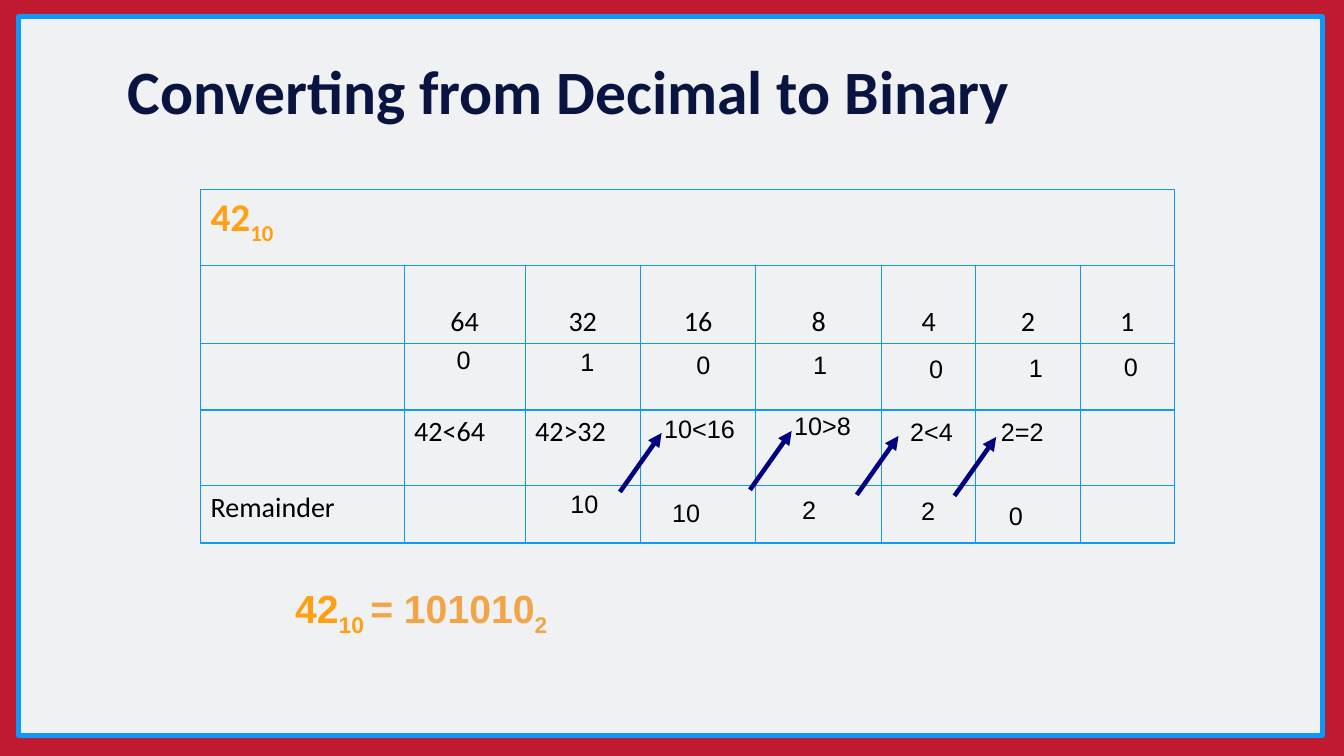
"""Build the slide that converts decimal 42 to binary step by step."""
import dataclasses

import lxml.etree
import pptx
import pptx.dml.color
import pptx.enum.shapes
import pptx.enum.text
import pptx.oxml
import pptx.oxml.ns
import pptx.util

Pt = pptx.util.Pt
Align = pptx.enum.text.PP_ALIGN
qn = pptx.oxml.ns.qn


@dataclasses.dataclass(frozen=True)
class Theme:
    red: str = "BF1A2F"
    panel: str = "EFF1F3"
    blue: str = "1098F7"
    navy: str = "091540"
    arrow: str = "000080"
    orange: str = "FF9F11"
    amber: str = "F3A447"
    black: str = "000000"
    heading_font: str = "Calibri"
    note_font: str = "Arial"
    title_size: int = 44
    number_size: int = 28
    cell_size: int = 20
    note_size: int = 18


THEME = Theme()

COLUMNS = (145.4, 86.4, 82.4, 82.4, 90, 67, 74.9, 67)
ROWS = (54, 54, 47.3, 54, 41)
PLACE_VALUES = ("64", "32", "16", "8", "4", "2", "1")
BITS = (("0", 319, 242.6), ("1", 407.5, 244.1), ("0", 490.3, 246.2), ("1", 573.8, 246.2),
        ("0", 656.6, 249.1), ("1", 727.9, 248.4), ("0", 795.6, 247.7))
COMPARISONS = (("10<16", 467.3, 291.6), ("10>8", 560.2, 289.4),
               ("2<4", 643, 293.8), ("2=2", 707.8, 293.8))
REMAINDERS = (("10", 400.3, 345.6), ("10", 473, 351.4), ("2", 565.9, 349.9),
              ("2", 650.9, 350.6), ("0", 713.5, 353.5))
ARROW_STARTS = ((442.8, 351.4), (535.7, 349.9), (612, 353.5), (681.8, 354.2))
ARROW_RUN, ARROW_RISE = 29.8, 42.1


def rgb(value):
    """Turn a hex string into a colour."""
    return pptx.dml.color.RGBColor.from_string(value)


def style_span(span, font, size, color, bold=False, subscript=False):
    """Format one run of text."""
    span.font.name = font
    span.font.size = Pt(size)
    span.font.color.rgb = rgb(color)
    span.font.bold = bold
    if subscript:
        span._r.get_or_add_rPr().set("baseline", "-25000")


def fill_number(para, font, parts):
    """Write bold number parts given as text, colour and subscript flag."""
    for text, color, subscript in parts:
        span = para.add_run()
        span.text = text
        style_span(span, font, THEME.number_size, color, True, subscript)


def add_box(page, left, top, width, height):
    """Add an empty wrapping text box and return its text frame."""
    frame = page.shapes.add_textbox(Pt(left), Pt(top), Pt(width), Pt(height)).text_frame
    frame.word_wrap = True
    return frame


def add_note(page, text, left, top, width):
    """Add a small working figure over the table."""
    frame = add_box(page, left, top, width, 28.8)
    frame.text = text
    style_span(frame.paragraphs[0].runs[0], THEME.note_font, THEME.note_size, THEME.black)


def add_panel(page):
    """Add the framed panel behind the content."""
    panel = page.shapes.add_shape(pptx.enum.shapes.MSO_SHAPE.RECTANGLE,
                                  Pt(13.4), Pt(11.6), Pt(931), Pt(514))
    panel.shadow.inherit = False
    panel.fill.solid()
    panel.fill.fore_color.rgb = rgb(THEME.panel)
    panel.line.color.rgb = rgb(THEME.blue)
    panel.line.width = Pt(3.5)


def add_title(page, text):
    """Add the slide heading."""
    frame = add_box(page, 84.2, 22.3, 832, 90)
    frame.vertical_anchor = pptx.enum.text.MSO_ANCHOR.MIDDLE
    frame.text = text
    para = frame.paragraphs[0]
    para.line_spacing = 0.9
    style_span(para.runs[0], THEME.heading_font, THEME.title_size, THEME.navy, True)


def outline_cell(cell):
    """Give a cell thin blue borders and no fill."""
    properties = cell._tc.get_or_add_tcPr()
    for side in ("a:lnL", "a:lnR", "a:lnT", "a:lnB"):
        border = lxml.etree.SubElement(properties, qn(side), w=str(Pt(1)))
        solid = lxml.etree.SubElement(border, qn("a:solidFill"))
        lxml.etree.SubElement(solid, qn("a:srgbClr"), val=THEME.blue)
    cell.fill.background()


def write_cell(cell, text, align=Align.LEFT, spacing=1.0):
    """Write plain text in a table cell."""
    cell.text = text
    para = cell.text_frame.paragraphs[0]
    para.alignment = align
    para.line_spacing = spacing
    style_span(para.runs[0], THEME.heading_font, THEME.cell_size, THEME.black)


def add_working_table(page):
    """Add the table of place values, comparisons and remainders."""
    table = page.shapes.add_table(len(ROWS), len(COLUMNS), Pt(143.3), Pt(135.4),
                                  Pt(sum(COLUMNS)), Pt(sum(ROWS))).table
    table.first_row = table.horz_banding = False
    for column, width in zip(table.columns, COLUMNS):
        column.width = Pt(width)
    for row, height in zip(table.rows, ROWS):
        row.height = Pt(height)
    for cell in table.iter_cells():
        outline_cell(cell)
    heading = table.cell(0, 0)
    heading.merge(table.cell(0, len(COLUMNS) - 1))
    fill_number(heading.text_frame.paragraphs[0], THEME.heading_font,
                (("42", THEME.orange, False), ("10", THEME.orange, True)))
    for index, value in enumerate(PLACE_VALUES, start=1):
        write_cell(table.cell(1, index), value, Align.CENTER, 2.0)
    write_cell(table.cell(3, 1), "42<64")
    write_cell(table.cell(3, 2), "42>32")
    write_cell(table.cell(4, 0), "Remainder")


def add_arrow(page, left, bottom):
    """Add an arrow from a remainder up to the next comparison."""
    arrow = page.shapes.add_connector(pptx.enum.shapes.MSO_CONNECTOR.STRAIGHT, Pt(left), Pt(bottom),
                                      Pt(left + ARROW_RUN), Pt(bottom - ARROW_RISE))
    arrow.line.color.rgb = rgb(THEME.arrow)
    arrow.line.width = Pt(3.25)
    lxml.etree.SubElement(arrow.line._get_or_add_ln(), qn("a:tailEnd"), type="triangle")
    lxml.etree.SubElement(arrow._element.spPr, qn("a:effectLst"))


def add_result(page):
    """Add the final equation under the table."""
    frame = add_box(page, 203.8, 414, 484.6, 41)
    fill_number(frame.paragraphs[0], THEME.note_font,
                (("42", THEME.orange, False), ("10 ", THEME.orange, True),
                 ("= 101010", THEME.amber, False), ("2", THEME.amber, True)))


def main():
    """Build and save the deck."""
    deck = pptx.Presentation()
    deck.slide_width, deck.slide_height = Pt(960), Pt(540)
    page = deck.slides.add_slide(deck.slide_layouts[6])
    page.background.fill.solid()
    page.background.fill.fore_color.rgb = rgb(THEME.red)
    add_panel(page)
    add_working_table(page)
    add_title(page, "Converting from Decimal to Binary")
    for left, bottom in ARROW_STARTS:
        add_arrow(page, left, bottom)
    for notes, width in ((COMPARISONS, 66.2), (REMAINDERS, 41.8), (BITS, 41.8)):
        for text, left, top in notes:
            add_note(page, text, left, top, width)
    add_result(page)
    deck.save("out.pptx")


if __name__ == "__main__":
    main()
